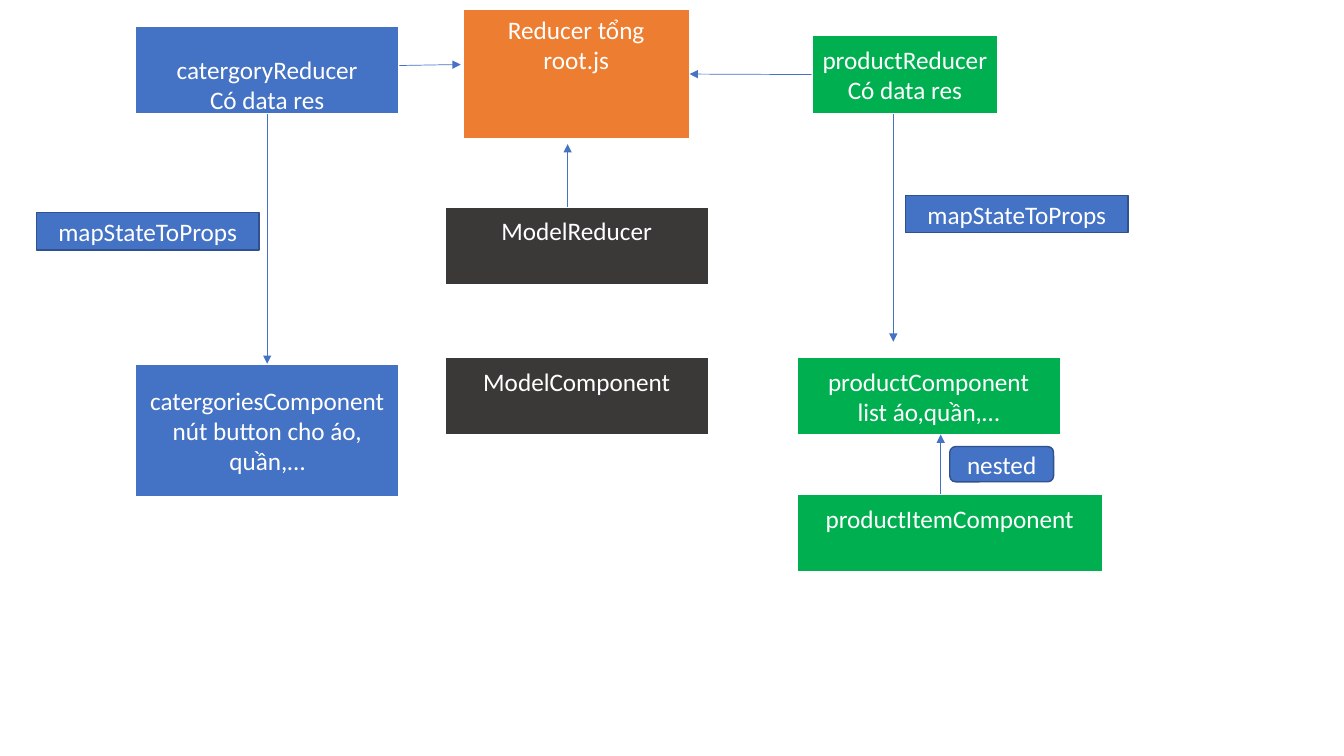
from lxml import etree
from pptx import Presentation
from pptx.dml.color import RGBColor
from pptx.enum.shapes import MSO_CONNECTOR, MSO_SHAPE
from pptx.enum.text import MSO_ANCHOR, PP_ALIGN
from pptx.oxml.ns import qn
from pptx.util import Inches, Pt

RECT = MSO_SHAPE.RECTANGLE
ROUNDED = MSO_SHAPE.ROUNDED_RECTANGLE
STRAIGHT = MSO_CONNECTOR.STRAIGHT
TOP, MIDDLE = MSO_ANCHOR.TOP, MSO_ANCHOR.MIDDLE
CENTER = PP_ALIGN.CENTER

WHITE = RGBColor(0xFF, 0xFF, 0xFF)
BLUE = RGBColor(0x44, 0x72, 0xC4)
NAVY = RGBColor(0x2F, 0x52, 0x8F)
ORANGE = RGBColor(0xED, 0x7D, 0x31)
GREEN = RGBColor(0x00, 0xB0, 0x50)
CHARCOAL = RGBColor(0x3B, 0x38, 0x38)

BOX_W, BOX_H = 2.62, 0.78
LABEL_W, LABEL_H = 2.21, 0.37


def add_box(slide, left, top, width, height, fill, lines, inset=None,
            shape=RECT, border=WHITE, border_pt=1.5):
    sp = slide.shapes.add_shape(shape, Inches(left), Inches(top),
                                Inches(width), Inches(height))
    sp.shadow.inherit = False
    sp.fill.solid()
    sp.fill.fore_color.rgb = fill
    sp.line.color.rgb = border
    sp.line.width = Pt(border_pt)
    tf = sp.text_frame
    tf.word_wrap = True
    tf.margin_left = tf.margin_right = Inches(0.05)
    tf.margin_top = Inches(inset or 0)
    tf.margin_bottom = 0
    tf.vertical_anchor = MIDDLE if inset is None else TOP
    for i, line in enumerate(lines):
        p = tf.paragraphs[0] if i == 0 else tf.add_paragraph()
        p.text = line
        p.alignment = CENTER
        p.font.name = "Calibri"
        p.font.size = Pt(18)
        p.font.color.rgb = WHITE
    return sp


def add_label(slide, left, top, text, width=LABEL_W, height=LABEL_H, shape=RECT):
    return add_box(slide, left, top, width, height, BLUE, [text],
                   shape=shape, border=NAVY, border_pt=1)


def add_arrow(slide, x1, y1, x2, y2):
    line = slide.shapes.add_connector(STRAIGHT, Inches(x1), Inches(y1),
                                      Inches(x2), Inches(y2))
    line.line.color.rgb = BLUE
    line.line.width = Pt(0.5)
    etree.SubElement(line.line._get_or_add_ln(), qn("a:tailEnd"), type="triangle")
    etree.SubElement(line._element.spPr, qn("a:effectLst"))
    return line


def add_category_column(slide, left, top):
    reducer = add_box(slide, left, top, BOX_W, 0.87, BLUE,
                      ["catergoryReducer", "Có data res"], inset=0.28)
    component = add_box(slide, left, top + 3.35, BOX_W, 1.32, BLUE,
                        ["catergoriesComponent", "nút button cho áo,", "quần,…"])
    center = left + BOX_W / 2
    flow = add_arrow(slide, center, top + 0.87, center, top + 3.35)
    flow.begin_connect(reducer, 2)
    flow.end_connect(component, 0)
    add_arrow(slide, left + BOX_W, top + 0.39, left + 3.23, top + 0.38)
    add_label(slide, left - 0.98, top + 1.85, "mapStateToProps")


def add_model_column(slide, left, top):
    root = add_box(slide, left + 0.18, top, 2.25, 1.29, ORANGE,
                   ["Reducer tổng", "root.js"], inset=0.05)
    for offset, name in ((1.96, "ModelReducer"), (3.45, "ModelComponent")):
        add_box(slide, left, top + offset, BOX_W, BOX_H, CHARCOAL, [name], inset=0.09)
    add_arrow(slide, left + 1.22, top + 1.96, left + 1.22, top + 1.34)
    return root


def add_product_column(slide, left, top, root):
    reducer = add_box(slide, left + 0.15, top, 1.85, BOX_H, GREEN,
                      ["productReducer", "Có data res"])
    add_box(slide, left, top + 3.19, BOX_W, BOX_H, GREEN,
            ["productComponent", "list áo,quần,…"])
    add_box(slide, left, top + 4.55, 3.04, BOX_H, GREEN,
            ["productItemComponent"], inset=0.09)
    to_root = add_arrow(slide, left + 0.15, top + 0.39, left - 1.06, top + 0.39)
    to_root.begin_connect(reducer, 1)
    to_root.end_connect(root, 3)
    add_arrow(slide, left + 0.96, top + BOX_H, left + 0.96, top + 3.04)
    add_arrow(slide, left + 1.43, top + 4.55, left + 1.43, top + 3.96)
    add_label(slide, left + 1.08, top + 1.59, "mapStateToProps")
    add_label(slide, left + 1.52, top + 4.08, "nested", 1.03, 0.35, ROUNDED)


def main():
    prs = Presentation()
    prs.slide_width, prs.slide_height = Inches(13.33), Inches(7.5)
    slide = prs.slides.add_slide(prs.slide_layouts[6])
    add_category_column(slide, 1.34, 0.26)
    root = add_model_column(slide, 4.41, 0.09)
    add_product_column(slide, 7.9, 0.35, root)
    prs.save("out.pptx")


if __name__ == "__main__":
    main()
